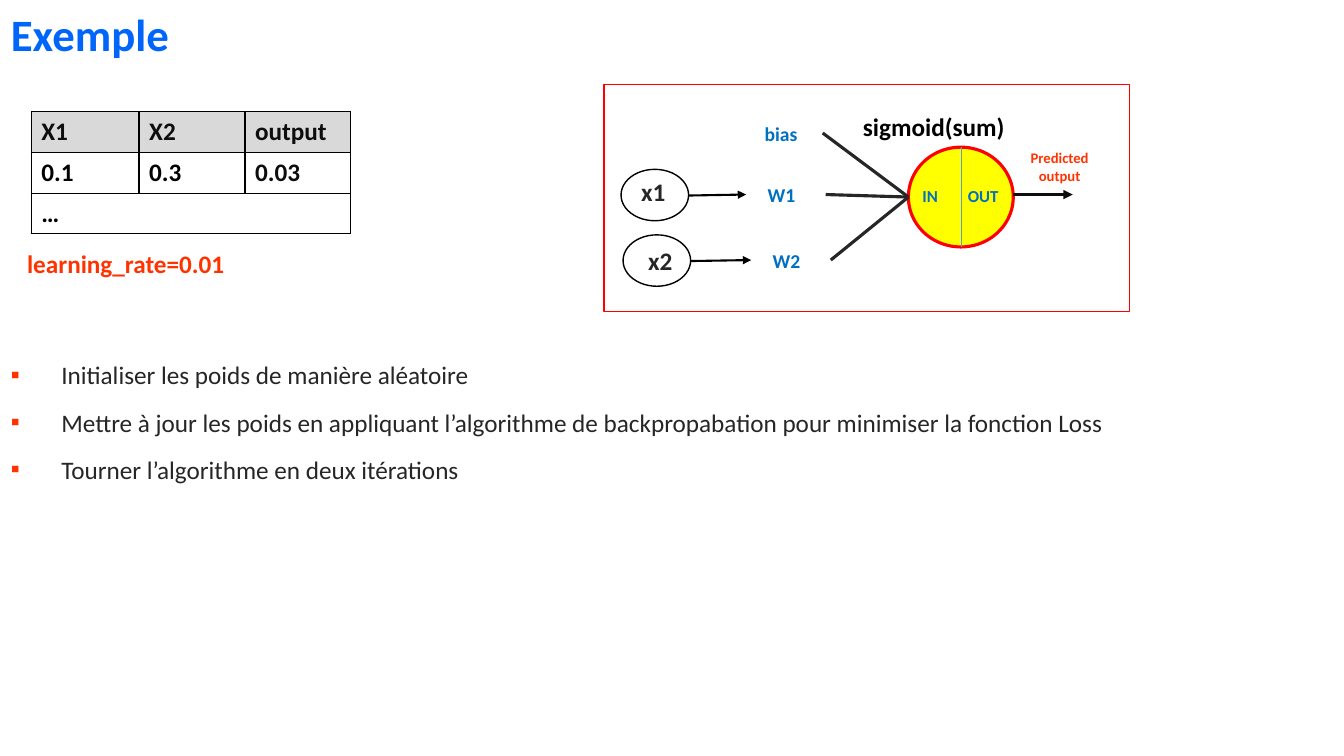
from lxml import etree
from pptx import Presentation, util as u
from pptx.dml.color import RGBColor
from pptx.enum import shapes, text
from pptx.oxml.ns import qn

BLUE, RED, BLACK, DARK, GREY = "0070C0", "FF3300", "000000", "262626", "0D0D0D"


def color(value):
    return RGBColor.from_string(value)


def set_font(p, size, value, bold=True):
    formats = {"name": "Calibri", "size": u.Pt(size), "bold": bold}
    for r in p.runs:
        for name, setting in formats.items():
            setattr(r.font, name, setting)
        r.font.color.rgb = color(value)


def fill_text(tf, lines, size, value, align=text.PP_ALIGN.LEFT, bold=True):
    for i, line in enumerate(lines):
        p = tf.add_paragraph() if i else tf.paragraphs[0]
        p.text = line
        p.alignment = align
        set_font(p, size, value, bold)


def add_text(s, box, lines, size, value, wrap=True, **formats):
    tf = s.shapes.add_textbox(*map(u.Inches, box)).text_frame
    tf.word_wrap = wrap
    fill_text(tf, lines, size, value, **formats)
    return tf


def add_outline(s, kind, box, line=None, width=1, fill=None):
    sp = s.shapes.add_shape(kind, *map(u.Inches, box))
    sp.shadow.inherit = False
    if fill:
        sp.fill.solid()
        sp.fill.fore_color.rgb = color(fill)
    else:
        sp.fill.background()
    if line:
        sp.line.color.rgb = color(line)
        sp.line.width = u.Pt(width)
    else:
        sp.line.fill.background()
    return sp


def add_line(s, start, end, value, width, arrow=False):
    c = s.shapes.add_connector(shapes.MSO_CONNECTOR.STRAIGHT, *map(u.Inches, start + end))
    c.line.color.rgb = color(value)
    c.line.width = u.Pt(width)
    if arrow:
        etree.SubElement(c.line._get_or_add_ln(), qn("a:tailEnd"), type="triangle")
    etree.SubElement(c._element.spPr, qn("a:effectLst"))


def set_borders(cell, value, width):
    tcPr = cell._tc.get_or_add_tcPr()
    for i, side in enumerate(("lnL", "lnR", "lnT", "lnB")):
        ln = etree.Element(qn(f"a:{side}"), w=str(u.Pt(width)))
        solid = etree.SubElement(ln, qn("a:solidFill"))
        etree.SubElement(solid, qn("a:srgbClr"), val=value)
        tcPr.insert(i, ln)


def data_table(s, x, y, w, h):
    rows = [("X1", "X2", "output"), ("0.1", "0.3", "0.03"), ("…", "", "")]
    table = s.shapes.add_table(3, 3, *map(u.Inches, (x, y, w, h))).table
    table.first_row = table.horz_banding = False
    for column, width in zip(table.columns, (1.07, 1.05, 1.05)):
        column.width = u.Inches(width)
    table.cell(2, 0).merge(table.cell(2, 2))
    for i, row in enumerate(rows):
        for j, value in enumerate(row):
            cell = table.cell(i, j)
            cell.fill.solid()
            cell.fill.fore_color.rgb = color("FFFFFF" if i else "D9D9D9")
            set_borders(cell, BLACK, 1)
            ink = GREY if i == 0 or j == 2 else BLACK
            fill_text(cell.text_frame, [value], 18, ink)


def network(s, x, y, w, h):
    oval = shapes.MSO_SHAPE.OVAL
    add_outline(s, shapes.MSO_SHAPE.RECTANGLE, (x, y, w, h), "FF0000")

    left, top, width, height = x + 3.02, y + 0.62, 1.04, 0.99
    middle, right = left + width / 2, left + width
    add_outline(s, oval, (left, top, width, height), "FF0000", 2.25, "FFFF00")
    add_line(s, (middle, top), (middle, top + height), "5B9BD5", 0.5)
    add_line(s, (right, y + 1.09), (right + 0.59, y + 1.09), GREY, 2.25, True)

    for name, dx, dy in (("bias", 1.38, 0.21), ("W1", 1.41, 0.82), ("W2", 1.46, 1.47)):
        sp = add_outline(s, oval, (x + dx, y + dy, 0.79, 0.55))
        tf = sp.text_frame
        tf.vertical_anchor = text.MSO_ANCHOR.MIDDLE
        fill_text(tf, [name], 14, BLUE)
        start = (x + dx + 0.79, y + dy + 0.27)
        add_line(s, start, (left, top + height / 2), DARK, 2.25)

    for name, dx, dy, tx, ty, end in (
        ("x1", 0.17, 0.84, 0.1, 0.02, 1.41),
        ("x2", 0.19, 1.49, 0.15, 0.05, 1.46),
    ):
        add_outline(s, oval, (x + dx, y + dy, 0.67, 0.51), BLACK)
        add_text(s, (x + dx + tx, y + dy + ty, 0.45, 0.4), [name], 18, DARK, wrap=False)
        mid = y + dy + 0.26
        add_line(s, (x + dx + 0.67, mid), (x + end, mid - 0.01), BLACK, 1.5, True)

    add_text(s, (left + 0.04, top + 0.33, 0.5, 0.3), ["IN"], 12, BLUE)
    add_text(s, (left + 0.49, top + 0.33, 0.59, 0.3), ["OUT"], 12, BLUE)
    add_text(s, (x + 2.47, y + 0.22, 2.19, 0.4), ["sigmoid(sum)"], 18, BLACK)
    add_text(s, (x + 4.07, y + 0.59, 0.9, 0.45), ["Predicted", "output"], 10.5, RED,
             align=text.PP_ALIGN.CENTER)


def steps(s, x, y, w, h):
    lines = [
        "Initialiser les poids de manière aléatoire",
        "Mettre à jour les poids en appliquant l’algorithme de backpropabation "
        "pour minimiser la fonction Loss",
        "Tourner l’algorithme en deux itérations",
    ]
    tf = add_text(s, (x, y, w, h), lines, 18, DARK, bold=False)
    for p in tf.paragraphs:
        p.space_after = u.Pt(12)
        pPr = p._p.get_or_add_pPr()
        pPr.set("marL", str(u.Inches(0.5)))
        pPr.set("indent", str(u.Inches(-0.5)))
        bullet = etree.SubElement(pPr, qn("a:buClr"))
        etree.SubElement(bullet, qn("a:srgbClr"), val=RED)
        etree.SubElement(pPr, qn("a:buFont"), typeface="Calibri")
        etree.SubElement(pPr, qn("a:buChar"), char="▪")


def main():
    prs = Presentation()
    prs.slide_width, prs.slide_height = u.Inches(13.33), u.Inches(7.5)
    s = prs.slides.add_slide(prs.slide_layouts[6])
    add_text(s, (0.01, 0.02, 13.32, 0.64), ["Exemple"], 32, "0065FA")
    data_table(s, 0.31, 1.11, 3.17, 1.21)
    add_text(s, (0.17, 2.41, 3.31, 0.4), ["learning_rate=0.01"], 18, RED)
    network(s, 5.99, 0.84, 5.21, 2.25)
    steps(s, 0.01, 3.52, 11.19, 1.35)
    prs.save("out.pptx")


if __name__ == "__main__":
    main()
